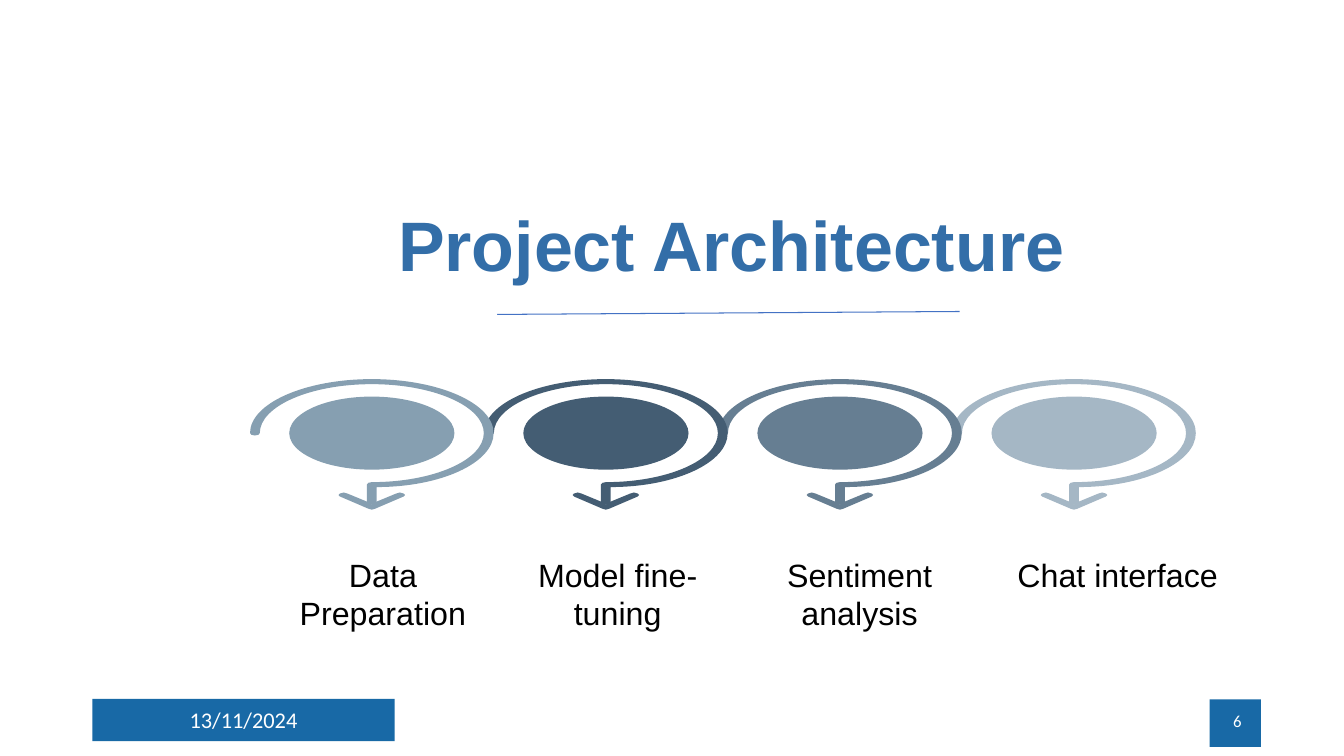
from lxml.etree import SubElement
from pptx import Presentation
from pptx.dml.color import RGBColor
from pptx.enum.shapes import MSO_CONNECTOR, MSO_SHAPE
from pptx.enum.text import MSO_ANCHOR, MSO_AUTO_SIZE, PP_ALIGN
from pptx.oxml.ns import qn
from pptx.util import Pt

COLORS = {
    "title": "336EA8", "rule": "4472C4", "bar": "1869A6",
    "white": "FFFFFF", "black": "000000",
    "data": "869FB1", "model": "445D73", "sentiment": "667E92", "chat": "A5B7C5",
}

# Stage label, colour, and the label's left edge, width and height
STAGES = [
    ("Data Preparation", "data", 183.9, 179.3, 70.6),
    ("Model fine-tuning", "model", 368.9, 144.7, 70.6),
    ("Sentiment analysis", "sentiment", 541.7, 144.7, 70.6),
    ("Chat interface", "chat", 708.8, 179.3, 42.5),
]
FIRST_COIL_X, COIL_Y, COIL_PITCH = 265.6, 309.4, 167.2

# Outline steps hold one point for a line, three for a curve.
# Right half of the arrowhead, from its inner notch to its tip:
ARROW_HALF = [
    [(0, 51)],
    [(3.5, 48.9)],
    [(17.3, 43.2)],
    [(18.1, 42.7), (19.1, 42.4), (20.1, 42.4)],
    [(21.1, 42.4), (22.1, 42.7), (22.9, 43.2)],
    [(24.1, 43.8), (24.1, 44.7), (22.7, 45.3)],
    [(2.4, 54)],
    [(1.7, 54.5), (0.9, 54.7), (0, 54.7)],
]


def rgb(name):
    return RGBColor.from_string(COLORS[name])


def box(left, top, width, height):
    return Pt(left), Pt(top), Pt(width), Pt(height)


def paint(shape, color):
    shape.shadow.inherit = False
    shape.fill.solid()
    shape.fill.fore_color.rgb = rgb(color)
    shape.line.fill.background()


def add_filled(slide, preset, area, color):
    paint(slide.shapes.add_shape(preset, *box(*area)), color)


def write(shape, text, size, color, font="Arial", bold=False, spacing=None, grow=False,
          align=PP_ALIGN.CENTER, anchor=MSO_ANCHOR.TOP, inset=3.6):
    frame = shape.text_frame
    frame.word_wrap = True
    if grow:
        frame.auto_size = MSO_AUTO_SIZE.SHAPE_TO_FIT_TEXT
    frame.vertical_anchor = anchor
    frame.margin_left = frame.margin_right = Pt(7.2)
    frame.margin_top = frame.margin_bottom = Pt(inset)
    paragraph = frame.paragraphs[0]
    paragraph.alignment = align
    paragraph.line_spacing = spacing
    run = paragraph.add_run()
    run.text = text
    run.font.name, run.font.size, run.font.bold = font, Pt(size), bold
    run.font.color.rgb = rgb(color)


def add_text(slide, area, text, **style):
    write(slide.shapes.add_textbox(*box(*area)), text, **style)


def add_rule(slide, start, end):
    rule = slide.shapes.add_connector(
        MSO_CONNECTOR.STRAIGHT, *(Pt(value) for value in start + end))
    rule.line.color.rgb = rgb("rule")
    rule.line.width = Pt(0.75)
    SubElement(rule._element.spPr, qn("a:effectLst"))


def quarter(start, end, upright):
    """A quarter ellipse; upright when it leaves its start vertically."""
    (x0, y0), (x1, y1) = start, end
    bend = 0.55
    near_x, near_y = x0 + bend * (x1 - x0), y0 + bend * (y1 - y0)
    far_x, far_y = x1 - bend * (x1 - x0), y1 - bend * (y1 - y0)
    if upright:
        return [(x0, near_y), (far_x, y1), end]
    return [(near_x, y0), (x1, far_y), end]


def quarters(*corners):
    """Joined quarter ellipses, the first of which leaves horizontally."""
    return [quarter(start, end, upright=index % 2 == 1)
            for index, (start, end) in enumerate(zip(corners, corners[1:]))]


def mirrored_back(half):
    """The steps that lead back, mirrored, from the end of a half outline."""
    steps = []
    for before, step in reversed(list(zip(half, half[1:]))):
        points = step[-2::-1] + [before[-1]]
        steps.append([(-x, y) for x, y in points])
    return steps


def add_outline(slide, center_x, steps, color):
    corners = [(Pt(center_x + x), Pt(COIL_Y + y)) for step in steps for x, y in step]
    builder = slide.shapes.build_freeform(*corners[0])
    builder.add_line_segments(corners[1:], close=True)
    outline = builder.convert_to_shape()
    lines = iter(list(outline._element.iter(qn("a:lnTo"))))
    for step in steps[1:]:
        parts = [next(lines) for _ in step]
        if len(parts) == 3:
            curve = parts[0]
            curve.tag = qn("a:cubicBezTo")
            for part in parts[1:]:
                curve.append(part[0])
                part.getparent().remove(part)
    paint(outline, color)


def add_coil(slide, center_x, color):
    """An oval inside an open ring that ends in a downward arrow."""
    add_filled(slide, MSO_SHAPE.OVAL, (center_x - 59, COIL_Y - 26.1, 118, 52.2), color)
    top, stem_end = (0, -38.6), (3.5, 38.5)
    ring = [[top]]
    ring += quarters(top, (-87, 0), (-83.5, 1.7), (-80, 0), (0, -35),
                     (80, 0), (0, 35), (-3.5, 36.7))
    ring += [[(-3.5, 51)], [(3.5, 51)], [stem_end]]
    ring += quarters(stem_end, (87, 0), top)
    add_outline(slide, center_x, ring, color)
    add_outline(slide, center_x, ARROW_HALF + mirrored_back(ARROW_HALF), color)


def main():
    deck = Presentation()
    deck.slide_width, deck.slide_height = Pt(960), Pt(540)
    slide = deck.slides.add_slide(deck.slide_layouts[5])

    add_filled(slide, MSO_SHAPE.RECTANGLE, (66, 499.2, 216, 30.2), "bar")
    add_filled(slide, MSO_SHAPE.RECTANGLE, (864, 499.5, 36.7, 34), "bar")
    footer = {"color": "white", "font": "Calibri", "anchor": MSO_ANCHOR.MIDDLE}
    add_text(slide, (677.9, 500.4, 216, 28.8), "6", size=12, align=PP_ALIGN.RIGHT, **footer)

    add_rule(slide, (355.2, 224.6), (685.4, 222.5))
    title = slide.shapes.title
    title.left, title.top, title.width, title.height = box(261.2, 115.2, 522.7, 92.9)
    write(title, "Project Architecture", size=50, color="title", bold=True,
          spacing=0.9, anchor=MSO_ANCHOR.BOTTOM)

    # Drawn from the right, so that each coil overlaps the next one
    for index, (_, color, *_) in reversed(list(enumerate(STAGES))):
        add_coil(slide, FIRST_COIL_X + index * COIL_PITCH, color)
    for label, _, left, width, height in STAGES:
        add_text(slide, (left, 389.3, width, height), label, size=23, color="black",
                 inset=7.2, grow=True)
    add_text(slide, (66, 500.6, 216, 26.6), "13/11/2024", size=16, **footer)

    deck.save("out.pptx")


if __name__ == "__main__":
    main()
